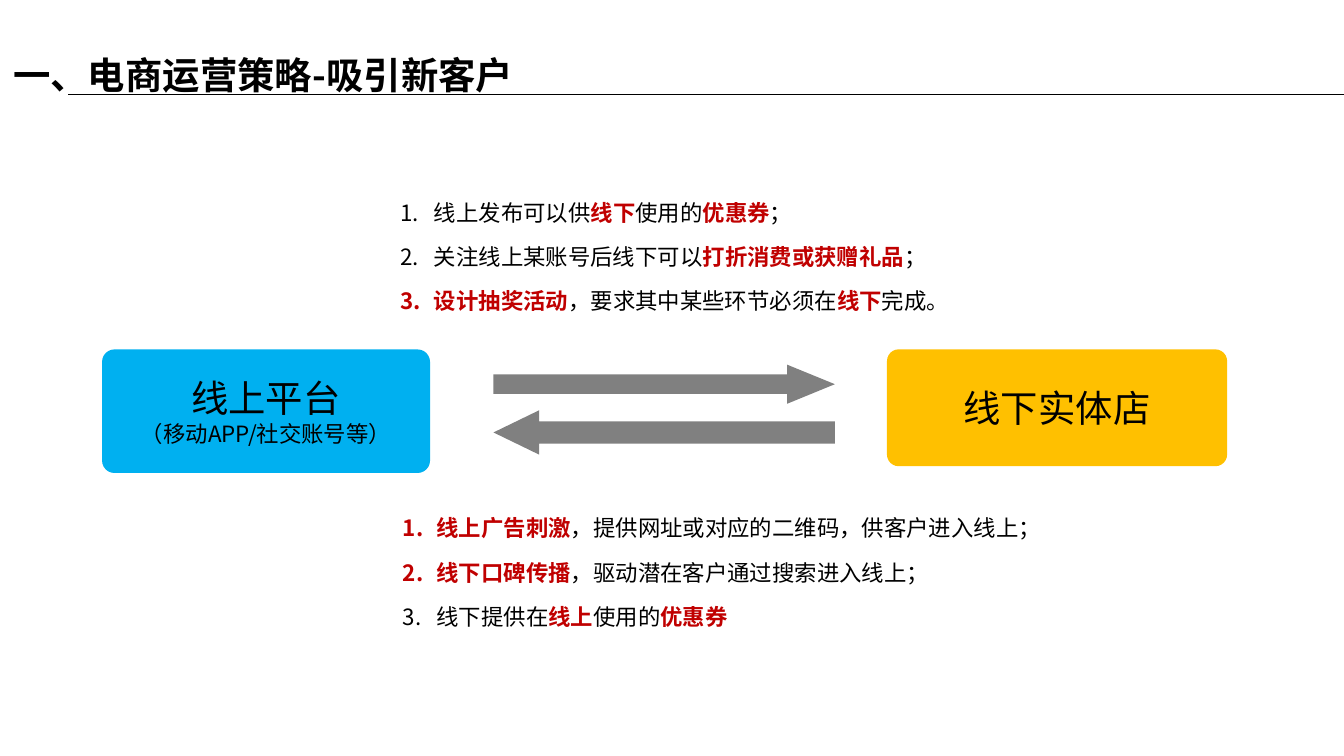
import dataclasses
import typing

import lxml.etree
import pptx
import pptx.dml.color
import pptx.enum.shapes
import pptx.enum.text
import pptx.oxml.ns
import pptx.util

Pt = pptx.util.Pt
Color = pptx.dml.color.RGBColor.from_string
Kind = pptx.enum.shapes.MSO_SHAPE
Align = pptx.enum.text.PP_ALIGN
Anchor = pptx.enum.text.MSO_ANCHOR
qn = pptx.oxml.ns.qn


@dataclasses.dataclass(frozen=True)
class Theme:
    font: str = "Noto Sans CJK SC"
    ink: str = "000000"
    red: str = "C00000"
    blue: str = "00B0F0"
    gold: str = "FFC000"
    gray: str = "808080"
    large: float = 20
    small: float = 12
    lead: float = 1.98


THEME = Theme()


class Area(typing.NamedTuple):
    left: float
    top: float
    width: float
    height: float

    def points(self) -> list:
        return [Pt(side) for side in self]


class Line(typing.NamedTuple):
    text: str
    size: float


class Card(typing.NamedTuple):
    area: Area
    fill: str
    lines: list[Line]


class Arrow(typing.NamedTuple):
    area: Area
    kind: Kind
    head: float


class Points(typing.NamedTuple):
    area: Area
    lines: list[Line]


CARDS = [
    Card(Area(475.2, 187.2, 182.2, 62.6), THEME.gold, [Line("线下实体店", THEME.large)]),
    Card(Area(54.7, 187.2, 175.7, 66.2), THEME.blue,
         [Line("线上平台", THEME.large), Line("（移动APP/社交账号等）", THEME.small)]),
]
ARROWS = [
    Arrow(Area(264.4, 195.4, 182.9, 20.9), Kind.RIGHT_ARROW, 1.22),
    Arrow(Area(264.4, 219.8, 182.9, 23.8), Kind.LEFT_ARROW, 1.03),
]
LISTS = [
    Points(Area(207.4, 93.6, 297.4, 78.5), [Line(text, THEME.small) for text in (
        "线上发布可以供*线下*使用的*优惠券*；",
        "关注线上某账号后线下可以*打折消费或获赠礼品*；",
        "*设计抽奖活动*，要求其中某些环节必须在*线下*完成。")]),
    Points(Area(208.8, 262.8, 364.3, 78.5), [Line(text, THEME.small) for text in (
        "*线上广告刺激*，提供网址或对应的二维码，供客户进入线上；",
        "*线下口碑传播*，驱动潜在客户通过搜索进入线上；",
        "线下提供在*线上*使用的*优惠券*")]),
]


def write(frame, lines: list[Line], *, align=Align.LEFT, anchor=Anchor.TOP,
          bold=False, spread=False, indent=0, count=False) -> None:
    frame.word_wrap = True
    frame.vertical_anchor = anchor
    for place, line in enumerate(lines):
        para = frame.add_paragraph() if place else frame.paragraphs[0]
        para.alignment = align
        if spread:
            para.line_spacing = Pt(line.size * THEME.lead)
        props = para._p.get_or_add_pPr()
        if indent:
            props.set("marL", str(Pt(indent)))
            props.set("indent", str(-Pt(indent)))
        if count:
            lxml.etree.SubElement(props, qn("a:buAutoNum"), type="arabicPeriod")
        for turn, text in enumerate(line.text.split("*")):
            if not text:
                continue
            strong = turn % 2 == 1
            run = para.add_run()
            run.text = text
            run.font.size = Pt(line.size)
            run.font.name = THEME.font
            run.font.bold = bold or strong
            run.font.color.rgb = Color(THEME.red if strong else THEME.ink)
            lxml.etree.SubElement(run.font._element, qn("a:ea"), typeface=THEME.font)


def block(slide, kind: Kind, area: Area, fill: str):
    shape = slide.shapes.add_shape(kind, *area.points())
    shape.shadow.inherit = False
    shape.fill.solid()
    shape.fill.fore_color.rgb = Color(fill)
    shape.line.fill.background()
    return shape


def draw_card(slide, card: Card) -> None:
    shape = block(slide, Kind.ROUNDED_RECTANGLE, card.area, card.fill)
    shape.adjustments[0] = 0.1
    frame = shape.text_frame
    frame.margin_left = frame.margin_right = Pt(5.76)
    frame.margin_top = frame.margin_bottom = Pt(2.88)
    write(frame, card.lines, align=Align.CENTER, anchor=Anchor.MIDDLE)


def draw_arrow(slide, arrow: Arrow) -> None:
    shape = block(slide, arrow.kind, arrow.area, THEME.gray)
    shape.adjustments[0] = 0.5
    shape.adjustments[1] = arrow.head


def draw_list(slide, points: Points) -> None:
    frame = slide.shapes.add_textbox(*points.area.points()).text_frame
    write(frame, points.lines, spread=True, indent=18, count=True)
    frame.auto_size = pptx.enum.text.MSO_AUTO_SIZE.SHAPE_TO_FIT_TEXT


def draw_title(slide, text: str) -> None:
    rule = slide.shapes.add_connector(
        pptx.enum.shapes.MSO_CONNECTOR.STRAIGHT, Pt(36.7), Pt(50.5), Pt(720), Pt(50.5))
    rule.line.color.rgb = Color(THEME.ink)
    rule.line.width = Pt(0.75)
    lxml.etree.SubElement(rule._element.spPr, qn("a:effectLst"))
    frame = slide.shapes.add_textbox(*Area(0, 15.8, 648, 32.4).points()).text_frame
    write(frame, [Line(text, THEME.large)], anchor=Anchor.MIDDLE,
          bold=True, spread=True, indent=31.7)


def main() -> None:
    deck = pptx.Presentation()
    deck.slide_width, deck.slide_height = Pt(720), Pt(405)
    slide = deck.slides.add_slide(deck.slide_layouts[6])
    draw_title(slide, "一、电商运营策略-吸引新客户")
    for card in CARDS:
        draw_card(slide, card)
    for arrow in ARROWS:
        draw_arrow(slide, arrow)
    for points in LISTS:
        draw_list(slide, points)
    deck.save("out.pptx")


if __name__ == "__main__":
    main()
